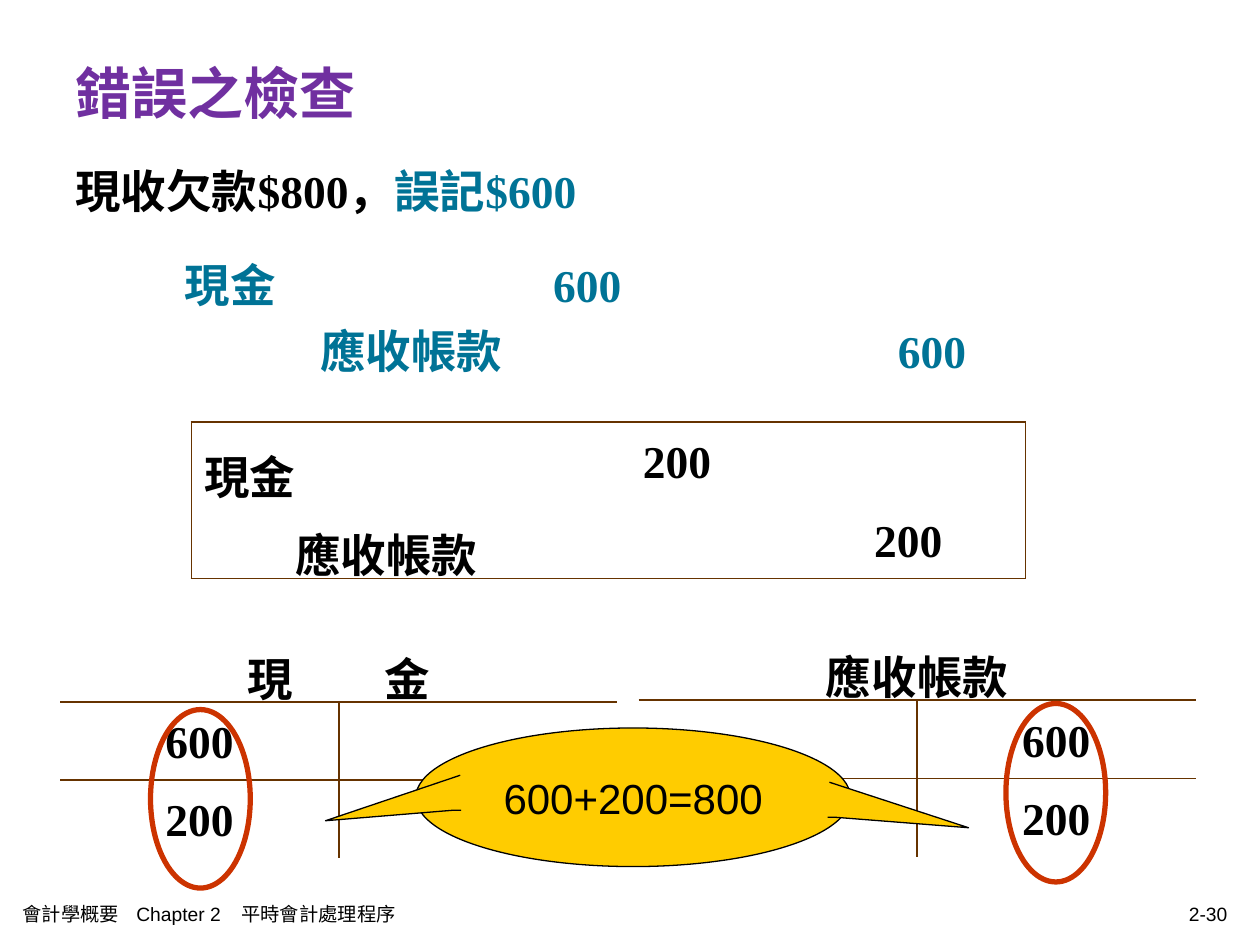
"""Build a slide on correcting an understated cash receipt entry."""
from pptx import Presentation
from pptx.dml.color import RGBColor
from pptx.enum.shapes import MSO_SHAPE
from pptx.enum.text import MSO_ANCHOR, PP_ALIGN
from pptx.oxml.ns import qn
from pptx.util import Pt
from lxml import etree

OVAL = MSO_SHAPE.OVAL
MIDDLE, TOP = MSO_ANCHOR.MIDDLE, MSO_ANCHOR.TOP
LEFT, CENTER, RIGHT = PP_ALIGN.LEFT, PP_ALIGN.CENTER, PP_ALIGN.RIGHT
SERIF, SANS = "Times New Roman", "Arial"
BLACK, PURPLE, TEAL = "000000", "7030A0", "007396"
BROWN, GOLD, RED = "663300", "FFCC00", "CC3300"
NO_STYLE = "{2D5ABB26-0587-4C30-8999-92F81FD0307C}"

TITLE = "錯誤之檢查"
FACT = [("現收欠款$800，", BLACK), ("誤記$600", TEAL)]
WRONG_ENTRY = [("\t現金\t600", 16.2, (62.5, 273)), ("\t應收帳款\t600", 0, (140, 470))]
CORRECTION = [["現金", "200", ""], ["應收帳款", "", "200"]]
ACCOUNTS = [
    (34.5, 356.4, [["現　　金", ""], ["600", ""], ["200", ""]]),
    (365, 355.5, [["應收帳款", ""], ["", "600"], ["", "200"]]),
]
SUM = "600+200=800"
POINTERS = [
    [(263, 443), (186, 469), (259, 463), (263.5, 463)],
    [(474, 447), (553.5, 473), (477, 467), (473, 467)],
]
RINGS = [(86, 405.5), (574.8, 402)]
FOOTER = "會計學概要\tChapter 2\t平時會計處理程序"
PAGE = "2-30"


def rgb(value):
    return RGBColor.from_string(value)


def write(p, text, size=26, font=SERIF, color=BLACK, bold=True, align=LEFT,
          spacing=None, before=0, indent=0, tabs=()):
    """Add a formatted run to a paragraph."""
    r = p.add_run()
    r.text = text
    r.font.size, r.font.name, r.font.bold = Pt(size), font, bold
    r.font.color.rgb = rgb(color)
    p.alignment, p.line_spacing, p.space_before = align, spacing, Pt(before)
    pPr = p._p.get_or_add_pPr()
    if indent:
        pPr.set("marL", str(Pt(indent)))
    if tabs:
        stops = etree.SubElement(pPr, qn("a:tabLst"))
        for pos in tabs:
            etree.SubElement(stops, qn("a:tab"), pos=str(Pt(pos)), algn="l")


def add_box(s, x, y, w, h, anchor=MIDDLE):
    tf = s.shapes.add_textbox(Pt(x), Pt(y), Pt(w), Pt(h)).text_frame
    tf.word_wrap, tf.vertical_anchor = True, anchor
    return tf


def add_grid(s, x, y, widths, rows, row_h=44.64):
    frame = s.shapes.add_table(len(rows), len(widths), Pt(x), Pt(y),
                               Pt(sum(widths)), Pt(row_h * len(rows)))
    table = frame.table
    table.first_row = table.horz_banding = False
    table._tbl.tblPr.find(qn("a:tableStyleId")).text = NO_STYLE
    for column, w in zip(table.columns, widths):
        column.width = Pt(w)
    for i, row in enumerate(rows):
        table.rows[i].height = Pt(row_h)
        for j, text in enumerate(row):
            cell = table.cell(i, j)
            cell.fill.background()
            if text:
                name = len(widths) == 3 and j == 0
                write(cell.text_frame.paragraphs[0], text, spacing=1.2, before=6.5,
                      align=LEFT if name else CENTER, indent=52 if name and i else 0)
    return table


def set_borders(cell, sides):
    """Draw the cell's sides, listed in the order L, R, T, B."""
    tcPr = cell._tc.get_or_add_tcPr()
    for k, side in enumerate(sides):
        ln = etree.Element(qn("a:ln" + side), w=str(Pt(1.08)))
        fill = etree.SubElement(ln, qn("a:solidFill"))
        etree.SubElement(fill, qn("a:srgbClr"), val=BROWN)
        tcPr.insert(k, ln)


def paint(sp, fill, line, width):
    sp.shadow.inherit = False
    if fill:
        sp.fill.solid()
        sp.fill.fore_color.rgb = rgb(fill)
    else:
        sp.fill.background()
    sp.line.color.rgb, sp.line.width = rgb(line), Pt(width)


def add_correction(s):
    table = add_grid(s, 109.4, 241.2, (212.4, 130.3, 133.9), CORRECTION)
    for i in range(2):
        for j in range(3):
            sides = ("L" if j == 0 else "") + ("R" if j == 2 else "")
            set_borders(table.cell(i, j), sides + "TB"[i])


def add_account(s, x, y, rows):
    table = add_grid(s, x, y, (159.1, 159.1), rows)
    table.cell(0, 0).merge(table.cell(0, 1))
    for j in range(2):
        set_borders(table.cell(0, j), "B")
        set_borders(table.cell(1, j), "RL"[j] + "T")
        set_borders(table.cell(2, j), "RL"[j])


def add_callout(s):
    shapes = s.shapes.add_group_shape().shapes
    sp = shapes.add_shape(OVAL, Pt(237.6), Pt(416), Pt(248.4), Pt(79.2))
    paint(sp, GOLD, BLACK, 0.75)
    tf = sp.text_frame
    tf.word_wrap, tf.vertical_anchor = False, MIDDLE
    write(tf.paragraphs[0], SUM, size=24, font=SANS, bold=False, align=CENTER)
    for start, *rest in POINTERS:
        fb = shapes.build_freeform(Pt(start[0]), Pt(start[1]))
        fb.add_line_segments([(Pt(x), Pt(y)) for x, y in rest], close=False)
        paint(fb.convert_to_shape(), GOLD, BLACK, 0.75)


def main():
    prs = Presentation()
    prs.slide_width, prs.slide_height = Pt(720), Pt(540)
    s = prs.slides.add_slide(prs.slide_layouts[6])

    tf = add_box(s, 36, 83.5, 648, 342, TOP)
    for text, color in FACT:
        write(tf.paragraphs[0], text, color=color, spacing=1.2)
    for text, before, tabs in WRONG_ENTRY:
        write(tf.add_paragraph(), text, color=TEAL, spacing=1.2, before=before, tabs=tabs)
    write(add_box(s, 36, 21.6, 648, 62.6).paragraphs[0], TITLE, size=32, color=PURPLE)

    add_correction(s)
    for x, y, rows in ACCOUNTS:
        add_account(s, x, y, rows)
    add_callout(s)
    for x, y in RINGS:
        paint(s.shapes.add_shape(OVAL, Pt(x), Pt(y), Pt(57), Pt(102)), None, RED, 3)

    small = dict(size=11, font=SANS, bold=False)
    write(add_box(s, 5.8, 510.5, 367, 23.8).paragraphs[0], FOOTER, tabs=(65, 125), **small)
    write(add_box(s, 540.7, 510.5, 167.8, 23.8).paragraphs[0], PAGE, align=RIGHT, **small)
    prs.save("out.pptx")


if __name__ == "__main__":
    main()
